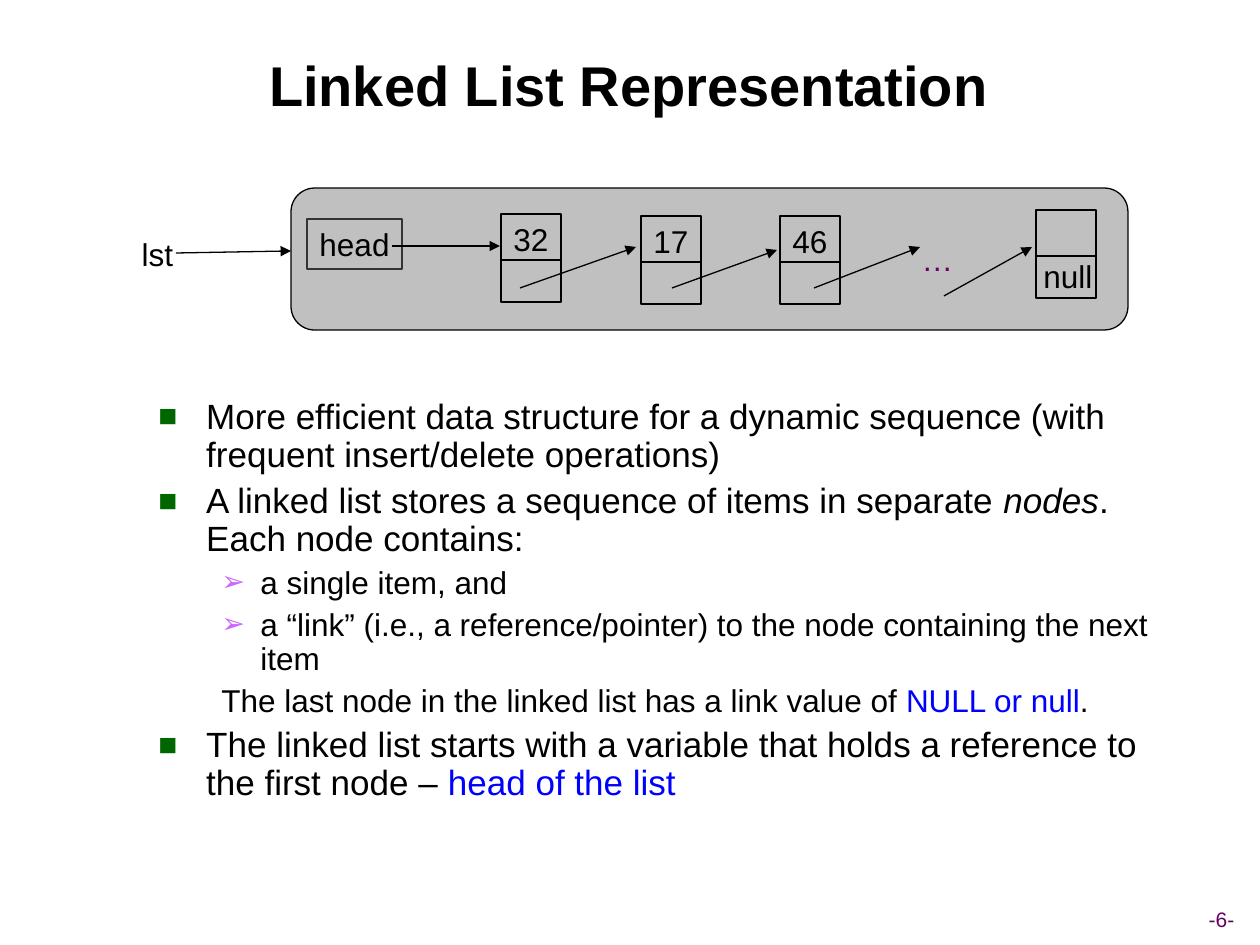
from typing import NamedTuple

from lxml import etree
from pptx import Presentation, util as u
from pptx.dml.color import RGBColor
from pptx.enum import shapes as es, text as et
from pptx.oxml import ns

PX = u.Inches(1) / 126
FONT = "Arial"
HUE = {"ink": "000000", "edge": "333333", "panel": "C0C0C0", "plum": "660066",
       "blue": "0000FF", "green": "006600", "violet": "CC66FF"}
TOP, MID = et.MSO_ANCHOR.TOP, et.MSO_ANCHOR.MIDDLE
CENTER = et.PP_ALIGN.CENTER


class Box(NamedTuple):
    """Place of a shape in pixels."""
    x: int
    y: int
    w: int
    h: int


class Node(NamedTuple):
    """List node: its corner and its item."""
    x: int
    y: int
    item: str


class Line(NamedTuple):
    """Ends of a line in pixels."""
    x1: int
    y1: int
    x2: int
    y2: int


class Run(NamedTuple):
    """Piece of text with its format."""
    words: str
    hue: str = "ink"
    slant: bool = False


class Rank(NamedTuple):
    """Format of an outline level."""
    size: int
    left: float
    hang: float
    gap: float
    mark: str
    hue: str


class Point(NamedTuple):
    """Outline paragraph."""
    level: int
    runs: list[Run]
    mark: bool = True


NODE_W, NODE_H, CELL_H = 60, 88, 46
NODES = [Node(501, 214, "32"), Node(641, 216, "17"),
         Node(780, 216, "46"), Node(1036, 210, "")]
ARROWS = [Line(392, 246, 500, 246), Line(520, 288, 636, 247),
          Line(672, 288, 777, 250), Line(814, 288, 920, 247),
          Line(944, 296, 1032, 247), Line(176, 253, 291, 251)]
LABELS = [(Box(909, 234, 57, 88), "…", "plum", TOP),
          (Box(1031, 251, 74, 50), "null", "ink", TOP),
          (Box(129, 229, 57, 50), "lst", "ink", MID)]
RANKS = [Rank(20, 0.38, 0.38, 5, "■", "green"),
         Rank(18, 0.81, 0.31, 4.5, "➢", "violet")]
POINTS = [
    Point(0, [Run("More efficient data structure for a dynamic sequence "
                  "(with frequent insert/delete operations)")]),
    Point(0, [Run("A linked list stores a sequence of items in separate "),
              Run("nodes", slant=True), Run(". Each node contains:")]),
    Point(1, [Run("a single item, and")]),
    Point(1, [Run("a “link” (i.e., a reference/pointer) to the node "
                  "containing the next item")]),
    Point(1, [Run("The last node in the linked list has a link value of "),
              Run("NULL or null", "blue"), Run(".")], mark=False),
    Point(0, [Run("The linked list starts with a variable that holds a "
                  "reference to the first node – "),
              Run("head of the list", "blue")]),
]


def emu(box: tuple) -> list[int]:
    """Turn pixels into EMU."""
    return [round(n * PX) for n in box]


def color(key: str) -> RGBColor:
    """Look up a colour."""
    return RGBColor.from_string(HUE[key])


def write(para, words: str, *, size: float = 18, hue: str = "ink",
          bold: bool = False, slant: bool = False) -> None:
    """Add a formatted run to a paragraph."""
    run = para.add_run()
    run.text = words
    font = run.font
    font.name, font.size = FONT, u.Pt(size)
    font.bold, font.italic = bold, slant
    font.color.rgb = color(hue)


def center(shape, words: str, *, anchor=TOP, wrap: bool = False, **look) -> None:
    """Put one centred line of text in a shape."""
    frame = shape.text_frame
    frame.word_wrap, frame.vertical_anchor = wrap, anchor
    frame.auto_size = et.MSO_AUTO_SIZE.NONE
    para = frame.paragraphs[0]
    para.alignment = CENTER
    write(para, words, **look)


def label(slide, box: Box, words: str, **look) -> None:
    """Add a text box with one centred line."""
    center(slide.shapes.add_textbox(*emu(box)), words, **look)


def block(slide, box: Box, *, kind=es.MSO_SHAPE.RECTANGLE,
          fill: str = "", edge: str = "ink"):
    """Add an outlined shape."""
    shape = slide.shapes.add_shape(kind, *emu(box))
    shape.shadow.inherit = False
    if fill:
        shape.fill.solid()
        shape.fill.fore_color.rgb = color(fill)
    else:
        shape.fill.background()
    shape.line.color.rgb = color(edge)
    shape.line.width = u.Pt(0.74)
    return shape


def link(slide, ends: Line, head: bool = True) -> None:
    """Add a line, with an arrowhead at its end if asked."""
    wire = slide.shapes.add_connector(es.MSO_CONNECTOR.STRAIGHT, *emu(ends))
    wire.line.color.rgb = color("ink")
    wire.line.width = u.Pt(0.74)
    if head:
        etree.SubElement(wire.line._get_or_add_ln(), ns.qn("a:tailEnd"),
                         type="triangle")
    etree.SubElement(wire._element.spPr, ns.qn("a:effectLst"))


def bullet(props, rank: Rank) -> None:
    """Give paragraph properties a coloured bullet."""
    tint = etree.SubElement(props, ns.qn("a:buClr"))
    etree.SubElement(tint, ns.qn("a:srgbClr"), val=HUE[rank.hue])
    etree.SubElement(props, ns.qn("a:buSzPct"), val="90000")
    etree.SubElement(props, ns.qn("a:buFont"), typeface=FONT)
    etree.SubElement(props, ns.qn("a:buChar"), char=rank.mark)


def outline(slide, box: Box) -> None:
    """Add the bulleted text."""
    frame = slide.shapes.add_textbox(*emu(box)).text_frame
    frame.word_wrap = True
    for i, point in enumerate(POINTS):
        para = frame.add_paragraph() if i else frame.paragraphs[0]
        rank = RANKS[point.level]
        para.level, para.line_spacing = point.level, 0.9
        para.space_before = u.Pt(rank.gap)
        props = para._p.get_or_add_pPr()
        props.set("marL", str(u.Inches(rank.left)))
        props.set("indent", str(-u.Inches(rank.hang)))
        if point.mark:
            bullet(props, rank)
        for run in point.runs:
            write(para, run.words, size=rank.size, hue=run.hue, slant=run.slant)


def diagram(slide) -> None:
    """Draw the linked list."""
    panel = block(slide, Box(291, 188, 837, 142), fill="panel",
                  kind=es.MSO_SHAPE.ROUNDED_RECTANGLE)
    panel.adjustments[0] = 0.167
    center(block(slide, Box(307, 219, 95, 50), edge="edge"), "head")
    for x, y, item in NODES:
        cell = block(slide, Box(x, y, NODE_W, NODE_H))
        if item:
            center(cell, item)
        link(slide, Line(x, y + CELL_H, x + NODE_W, y + CELL_H), head=False)
    for ends in ARROWS:
        link(slide, ends)
    for box, words, hue, anchor in LABELS:
        label(slide, box, words, hue=hue, anchor=anchor)


def main() -> None:
    """Build the slide and save it."""
    deck = Presentation()
    deck.slide_width, deck.slide_height = u.Inches(10), u.Inches(7.5)
    slide = deck.slides.add_slide(deck.slide_layouts[5])
    title = slide.shapes.title
    title.left, title.top, title.width, title.height = emu(Box(45, 24, 1168, 120))
    center(title, "Linked List Representation", size=32, bold=True,
           anchor=MID, wrap=True)
    diagram(slide)
    outline(slide, Box(146, 393, 1056, 484))
    label(slide, Box(1154, 900, 135, 38), "-6-", size=12, hue="plum", anchor=MID)
    deck.save("out.pptx")


main()
